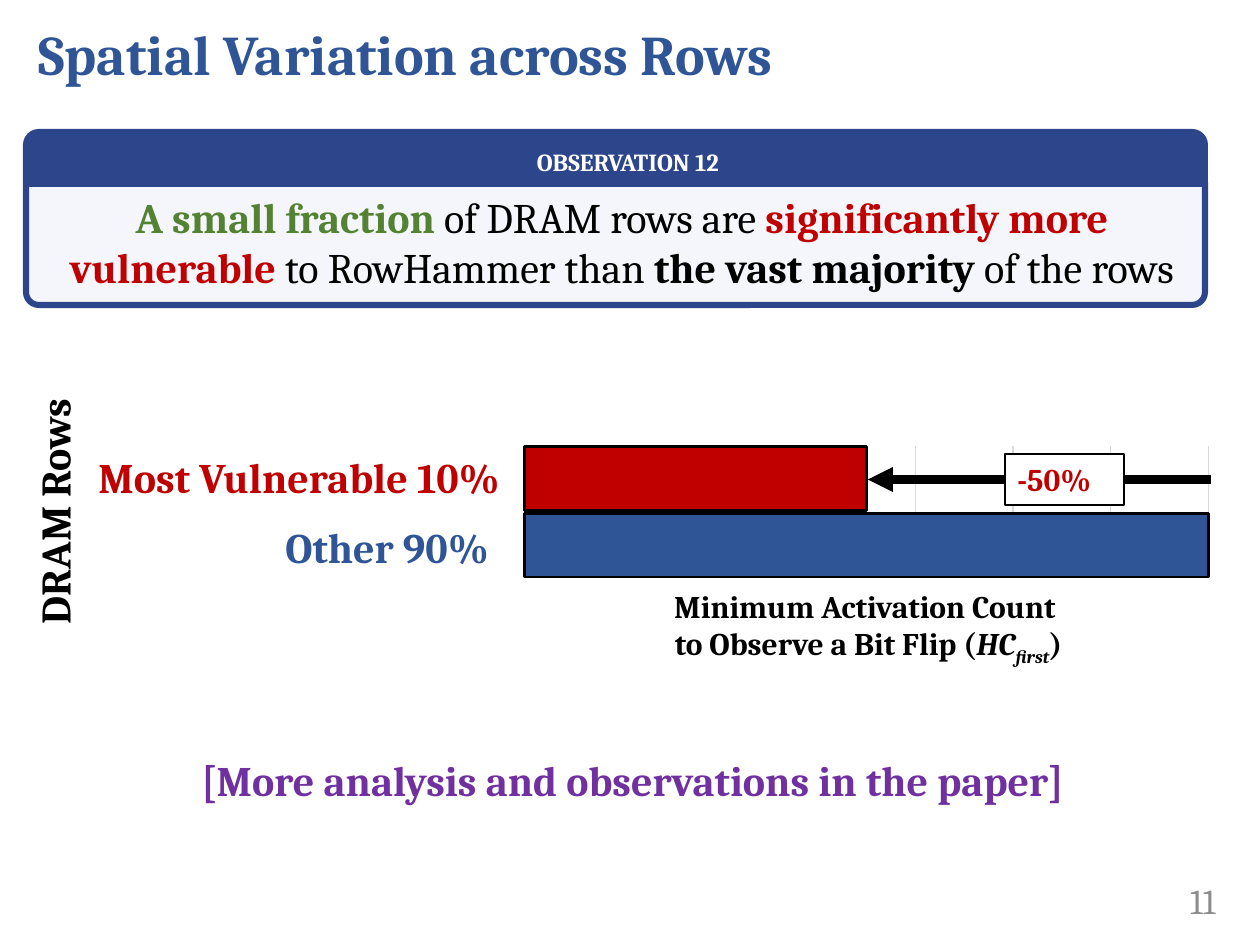
from lxml import etree
from pptx import Presentation
from pptx import util as u
from pptx.chart.data import CategoryChartData
from pptx.dml.color import RGBColor
from pptx.enum import chart as ch, shapes as sh, text as tx
from pptx.oxml import parse_xml
from pptx.oxml.ns import nsdecls, qn

PX = 914400 / 126
FONT = "Cambria"
COLORS = {
    "blue": "2F5597", "navy": "2D458A", "pale": "F5F6FB", "red": "C00000",
    "green": "538233", "purple": "7030A0", "black": "000000",
    "white": "FFFFFF", "grey": "8C8C8C", "grid": "D9D9D9",
}
BOLD = {"bold": True}
ALIGN = tx.PP_ALIGN
MIDDLE = tx.MSO_ANCHOR.MIDDLE
GROW = tx.MSO_AUTO_SIZE.SHAPE_TO_FIT_TEXT


def emu(*lengths):
    return [u.Emu(round(n * PX)) for n in lengths]


def rgb(name):
    return RGBColor.from_string(COLORS[name])


def set_all(target, values):
    for key, value in values.items():
        setattr(target, key, value)


def paint(part, fill, line, width):
    part.fill.solid()
    part.fill.fore_color.rgb = rgb(fill)
    part.line.color.rgb = rgb(line)
    part.line.width = u.Pt(width)


def write(shape, lines, size, align=ALIGN.LEFT, **frame_format):
    """Each line is a list of (wording, colour, font format, baseline) runs."""
    frame = shape.text_frame
    set_all(frame, {"word_wrap": True, **frame_format})
    for i, runs in enumerate(lines):
        paragraph = frame.add_paragraph() if i else frame.paragraphs[0]
        paragraph.alignment = align
        for wording, color, style, *baseline in runs:
            run = paragraph.add_run()
            run.text = wording
            set_all(run.font, {"name": FONT, "size": u.Pt(size), **style})
            run.font.color.rgb = rgb(color)
            if baseline:
                run._r.get_or_add_rPr().set("baseline", str(baseline[0]))


def add_text(slide, box, lines, size, align=ALIGN.LEFT, **frame_format):
    label = slide.shapes.add_textbox(*emu(*box))
    write(label, lines, size, align, **frame_format)
    return label


def add_panel(slide, kind, box, fill, line, width, corners=()):
    panel = slide.shapes.add_shape(kind, *emu(*box))
    panel.shadow.inherit = False
    paint(panel, fill, line, width)
    for i, corner in enumerate(corners):
        panel.adjustments[i] = corner
    return panel


def add_observation(slide, left, top, width, height):
    kinds = sh.MSO_SHAPE
    header_height = 53
    indent = emu(25)[0]
    # Frame
    add_panel(slide, kinds.ROUNDED_RECTANGLE, (left, top, width, height),
              "pale", "navy", 3.5, [0.074])
    # Header band
    header = add_panel(slide, kinds.ROUND_2_SAME_RECTANGLE,
                       (left, top + 1, width, header_height),
                       "navy", "navy", 1, [0.337, 0])
    write(header, [[("OBSERVATION 12", "white", BOLD)]], 14, ALIGN.CENTER,
          vertical_anchor=MIDDLE, margin_left=indent, margin_right=0,
          margin_top=0, margin_bottom=0)
    # Statement
    statement = [
        ("A small fraction ", "green", BOLD),
        ("of DRAM rows are ", "black", {}),
        ("significantly more vulnerable ", "red", BOLD),
        ("to RowHammer than ", "black", {}),
        ("the vast majority ", "black", BOLD),
        ("of the rows", "black", {}),
    ]
    add_text(slide, (left, top + header_height, width, 115), [statement], 24,
             ALIGN.CENTER, margin_left=indent, auto_size=GROW)


def add_bars(slide, left, top, width, height):
    data = CategoryChartData()
    data.categories = ["1"]
    data.add_series("Series 1", [100])
    data.add_series("Series 2", [50])
    chart = slide.shapes.add_chart(ch.XL_CHART_TYPE.BAR_CLUSTERED,
                                   *emu(left, top, width, height), data).chart
    set_all(chart, {"has_legend": False, "has_title": False})
    set_all(chart.font, {"name": FONT, "size": u.Pt(10)})
    chart.font.color.rgb = rgb("black")

    # Bars
    bars = chart.plots[0]
    set_all(bars, {"gap_width": 3, "overlap": -4, "vary_by_categories": False})
    for series, color in zip(bars.series, ("blue", "red")):
        paint(series.format, color, "black", 1.5)

    # Axes
    chart.category_axis.visible = False
    set_all(chart.value_axis, {
        "visible": False, "minimum_scale": 0, "maximum_scale": 100,
        "major_unit": 14.28, "has_major_gridlines": True})
    grid = chart.value_axis.major_gridlines.format.line
    grid.color.rgb = rgb("grid")
    grid.width = u.Pt(0.75)

    # Plot area, as fractions of the chart
    area = chart._chartSpace.chart.plotArea
    for old in area.findall(qn("c:layout")):
        area.remove(old)
    fields = [("layoutTarget", "inner"), ("xMode", "edge"), ("yMode", "edge"),
              ("x", 0.184), ("y", 0.082), ("w", 0.816), ("h", 0.682)]
    marks = "".join(f'<c:{name} val="{value}"/>' for name, value in fields)
    area.insert(0, parse_xml(
        f'<c:layout {nsdecls("c")}><c:manualLayout>{marks}'
        '</c:manualLayout></c:layout>'))


def add_reduction(slide, left, top, width, height):
    # Arrow through the middle of the box, pointing left
    middle = top + height / 2
    arrow = slide.shapes.add_connector(
        sh.MSO_CONNECTOR.STRAIGHT, *emu(left + width, middle, left, middle))
    arrow.line.color.rgb = rgb("black")
    arrow.line.width = u.Pt(4.75)
    etree.SubElement(arrow.line._get_or_add_ln(), qn("a:tailEnd"),
                     type="triangle")
    etree.SubElement(arrow._element.spPr, qn("a:effectLst"))
    # Percentage
    badge = add_panel(slide, sh.MSO_SHAPE.RECTANGLE,
                      (left + 137, top, 119, height), "white", "black", 0.75)
    write(badge, [[("-50%", "red", BOLD)]], 18, auto_size=GROW,
          vertical_anchor=tx.MSO_ANCHOR.TOP)


def add_comparison(slide, left, top):
    add_bars(slide, left + 370, top, 840, 194)
    # Horizontal axis title
    italic = {"bold": True, "italic": True}
    caption = [
        [("Minimum Activation Count ", "black", BOLD)],
        [("to Observe a Bit Flip (", "black", BOLD), ("HC", "black", italic),
         ("first", "black", italic, -25000), (")", "black", BOLD)],
    ]
    add_text(slide, (left + 483, top + 163, 771, 68), caption, 18,
             ALIGN.CENTER, vertical_anchor=MIDDLE)
    # Row names and vertical axis title
    for wording, color, x, y, width, turn in (
            ("Most Vulnerable 10%", "red", 86, 15, 444, 0),
            ("Other 90%", "blue", 273, 85, 248, 0),
            ("DRAM Rows", "black", -76, 45, 260, 270)):
        label = add_text(slide, (left + x, top + y, width, 63),
                         [[(wording, color, BOLD)]], 24,
                         word_wrap=False, auto_size=GROW)
        label.rotation = turn
    add_reduction(slide, left + 868, top + 24, 343, 51)


def main():
    deck = Presentation()
    deck.slide_width, deck.slide_height = emu(1260, 945)
    slide = deck.slides.add_slide(deck.slide_layouts[6])
    # Page number and title
    add_text(slide, (1092, 876, 136, 50), [[("11", "grey", {})]], 20,
             ALIGN.RIGHT, vertical_anchor=MIDDLE)
    add_text(slide, (26, 0, 1212, 106),
             [[("Spatial Variation across Rows", "blue", BOLD)]], 32,
             vertical_anchor=MIDDLE)
    add_observation(slide, 26, 132, 1179, 173)
    # Closing remark
    remark = "[More analysis and observations in the paper]"
    add_text(slide, (141, 748, 983, 63), [[(remark, "purple", BOLD)]], 24,
             ALIGN.CENTER, auto_size=GROW)
    add_comparison(slide, 0, 430)
    deck.save("out.pptx")


if __name__ == "__main__":
    main()
